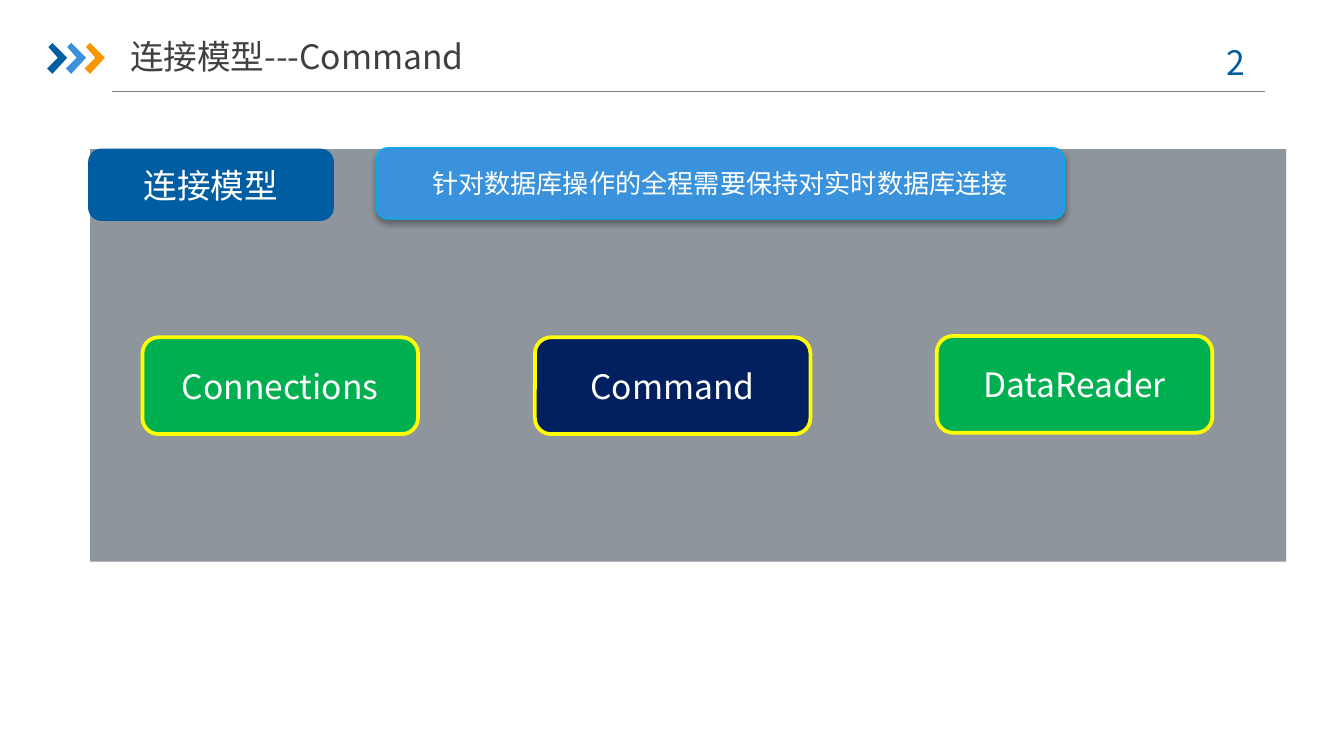
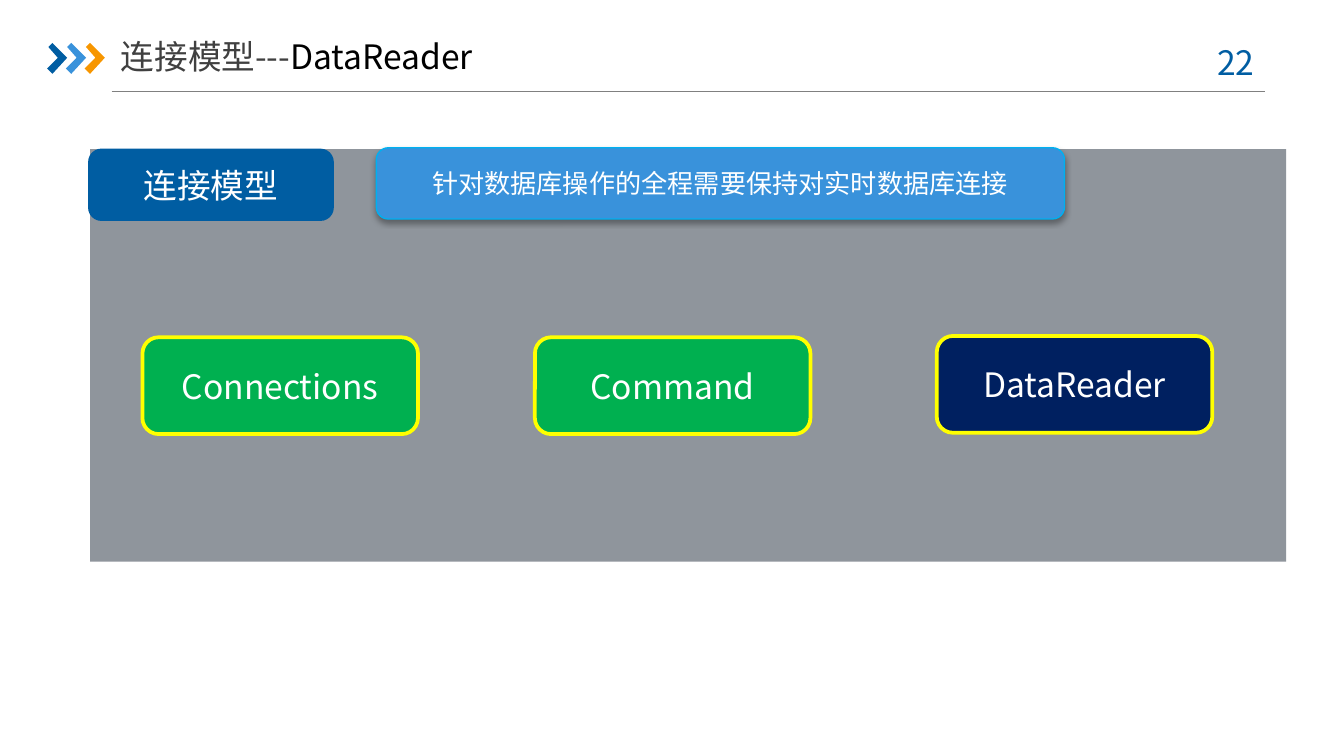
"""Build two slides on the connection model, each highlighting one of its objects."""
from lxml import etree
from pptx import Presentation
from pptx.dml.color import RGBColor
from pptx.enum import shapes, text
from pptx.oxml import ns, parse_xml
from pptx.util import Inches, Pt

FONT = "Noto Sans CJK SC"
BLUE = RGBColor(0x00, 0x5D, 0xA2)
SKY = RGBColor(0x39, 0x92, 0xDB)
CYAN = RGBColor(0x00, 0xB0, 0xF0)
ORANGE = RGBColor(0xF7, 0x96, 0x00)
GREEN = RGBColor(0x00, 0xB0, 0x50)
NAVY = RGBColor(0x00, 0x20, 0x60)
YELLOW = RGBColor(0xFF, 0xFF, 0x00)
PANEL_GREY = RGBColor(0x8F, 0x95, 0x9C)
RULE_GREY = RGBColor(0x80, 0x80, 0x80)
TITLE_GREY = RGBColor(0x40, 0x40, 0x40)
BLACK = RGBColor(0, 0, 0)
WHITE = RGBColor(255, 255, 255)

CHEVRON = [(0.01, 0.03), (0.04, 0), (0.15, 0.11), (0.04, 0.23), (0, 0.19), (0.08, 0.11)]
OBJECTS = [("Connections", 1.06, 2.51), ("Command", 3.98, 2.51), ("DataReader", 6.97, 2.5)]
PAGES = [("2", "Command", TITLE_GREY), ("22", "DataReader", BLACK)]
SHADOW = (
    f'<a:effectLst {ns.nsdecls("a")}><a:outerShdw blurRad="40000" dist="23000" dir="5400000"'
    ' rotWithShape="0"><a:srgbClr val="000000"><a:alpha val="35000"/></a:srgbClr>'
    "</a:outerShdw></a:effectLst>"
)


def write(shape, runs, size=18, **frame_format):
    frame = shape.text_frame
    for key, value in {"word_wrap": True, **frame_format}.items():
        setattr(frame, key, value)
    paragraph = frame.paragraphs[0]
    paragraph.alignment = text.PP_ALIGN.CENTER
    for words, color in runs:
        run = paragraph.add_run()
        run.text = words
        for key, value in {"name": FONT, "size": Pt(size)}.items():
            setattr(run.font, key, value)
        run.font.color.rgb = color
        etree.SubElement(run.font._element, ns.qn("a:ea"), typeface=FONT)


def add_box(slide, box, fill, line=None, width=2, preset=shapes.MSO_SHAPE.ROUNDED_RECTANGLE):
    shape = slide.shapes.add_shape(preset, *map(Inches, box))
    shape.shadow.inherit = False
    shape.fill.solid()
    shape.fill.fore_color.rgb = fill
    if line is None:
        shape.line.fill.background()
    else:
        shape.line.color.rgb = line
        shape.line.width = Pt(width)
    return shape


deck = Presentation()
deck.slide_width = Inches(10)
deck.slide_height = deck.slide_width * 9 // 16

for number, topic, topic_color in PAGES:
    slide = deck.slides.add_slide(deck.slide_layouts[6])

    rule = slide.shapes.add_connector(
        shapes.MSO_CONNECTOR.STRAIGHT, Inches(0.83), Inches(0.68), Inches(9.41), Inches(0.68)
    )
    rule.line.color.rgb = RULE_GREY
    rule.line.width = Pt(0.75)
    etree.SubElement(rule._element.spPr, ns.qn("a:effectLst"))

    for index, color in enumerate((BLUE, SKY, ORANGE)):
        corners = [(Inches(0.35 + 0.14 * index + x), Inches(0.32 + y)) for x, y in CHEVRON]
        outline = slide.shapes.build_freeform(*corners[0])
        outline.add_line_segments(corners[1:], close=True)
        chevron = outline.convert_to_shape()
        chevron.shadow.inherit = False
        chevron.fill.solid()
        chevron.fill.fore_color.rgb = color
        chevron.line.fill.background()

    page_number = slide.shapes.add_textbox(*map(Inches, (8.86, 0.26, 0.73, 0.4)))
    write(page_number, [(number + " ", BLUE)], auto_size=text.MSO_AUTO_SIZE.SHAPE_TO_FIT_TEXT)

    title = slide.shapes.add_textbox(*map(Inches, (0.83, 0.21, 2.76, 0.42)))
    write(title, [("连接模型---", TITLE_GREY), (topic, topic_color)],
          margin_left=0, margin_right=0, vertical_anchor=text.MSO_ANCHOR.MIDDLE)

    add_box(slide, (0.67, 1.11, 8.9, 3.07), PANEL_GREY, preset=shapes.MSO_SHAPE.RECTANGLE)

    model = add_box(slide, (0.67, 1.12, 1.8, 0.51), BLUE, BLUE)
    write(model, [("连接模型", WHITE)])

    summary = add_box(slide, (2.8, 1.1, 5.12, 0.53), SKY, CYAN, 0.75)
    effects = summary._element.spPr.find(ns.qn("a:effectLst"))
    effects.getparent().replace(effects, parse_xml(SHADOW))
    write(summary, [("针对数据库操作的全程需要保持对实时数据库连接", WHITE)], 14)

    for name, left, top in OBJECTS:
        fill = NAVY if name == topic else GREEN
        member = add_box(slide, (left, top, 2.05, 0.72), fill, YELLOW)
        write(member, [(name, WHITE)])

deck.save("out.pptx")
